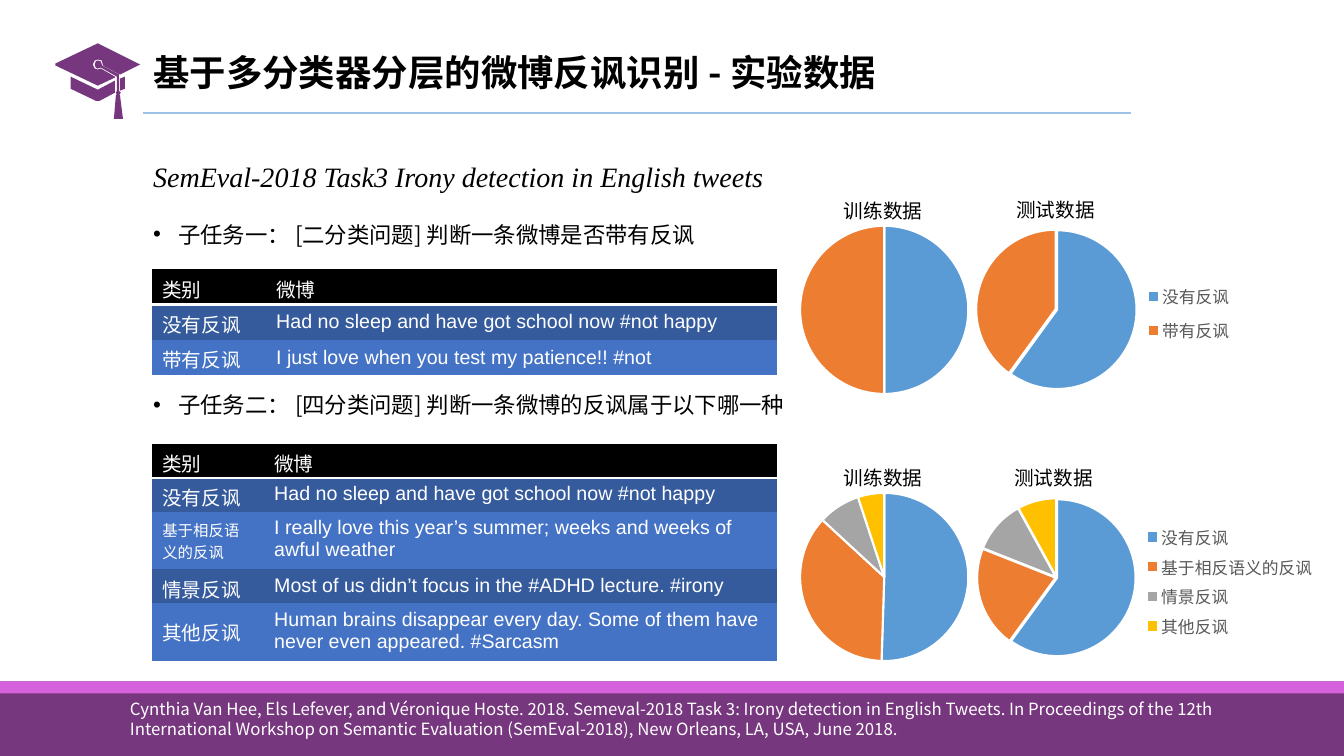
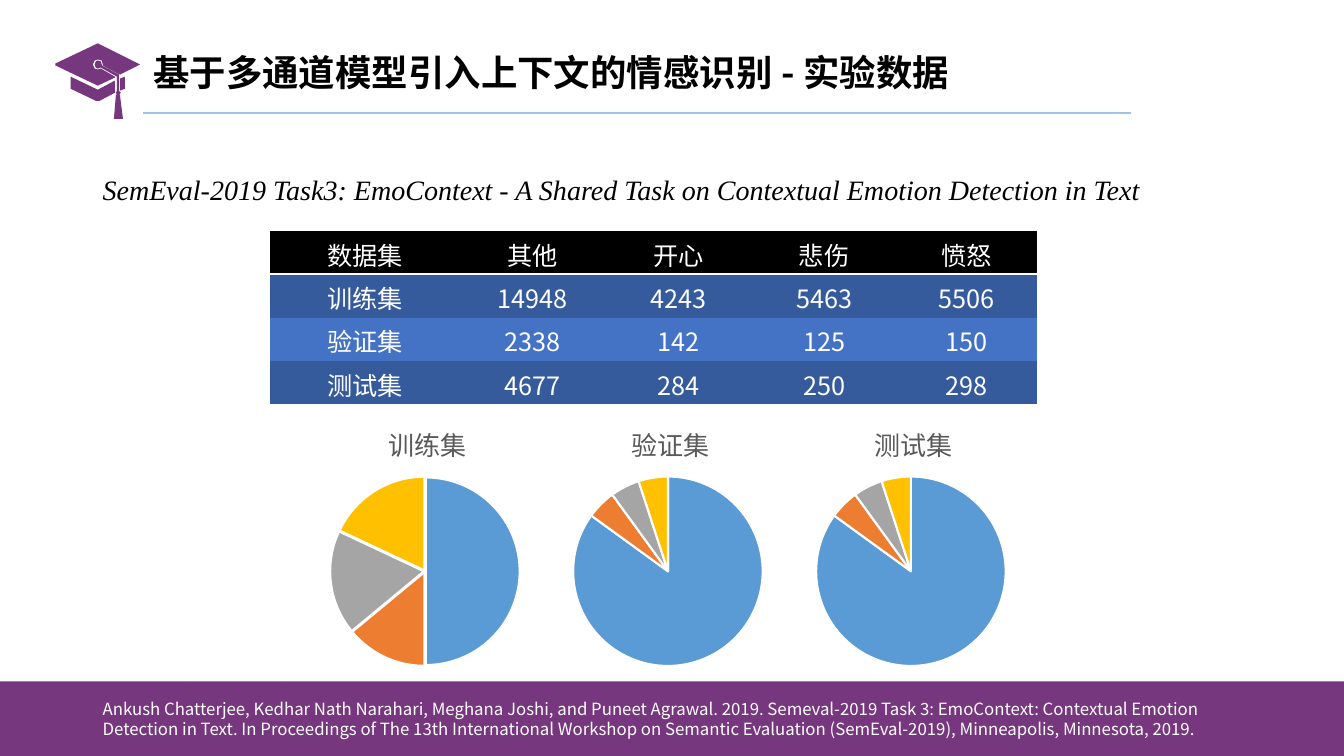
import lxml.etree
import pptx
import pptx.chart.data
import pptx.dml.color
import pptx.enum.chart
import pptx.enum.shapes
import pptx.enum.text
import pptx.oxml.ns
import pptx.util

Inches = pptx.util.Inches
Pt = pptx.util.Pt
qn = pptx.oxml.ns.qn
RGB = pptx.dml.color.RGBColor.from_string
MIDDLE = pptx.enum.text.MSO_ANCHOR.MIDDLE
TOP = pptx.enum.text.MSO_ANCHOR.TOP
LEFT = pptx.enum.text.PP_ALIGN.LEFT
CENTER = pptx.enum.text.PP_ALIGN.CENTER

COLORS = {
    "black": "000000", "white": "FFFFFF", "grey": "595959",
    "purple": "77377E", "pink": "D661DD", "rule": "9DC3E6",
    "dark_row": "365B9D", "light_row": "4472C4",
}
SLICES = ["5B9BD5", "ED7D31", "A5A5A5", "FFC000"]
CJK, SANS, SERIF = "Noto Sans CJK SC", "Arial", "Times New Roman"
NO_GRID_STYLE = "{2D5ABB26-0587-4C30-8999-92F81FD0307C}"


def add_run(paragraph, text, size, font=CJK, color="black", bold=False, italic=False):
    run = paragraph.add_run()
    run.text = text
    run.font.size = Pt(size)
    run.font.name = font
    run.font.bold = bold
    run.font.italic = italic
    run.font.color.rgb = RGB(COLORS[color])


def set_layout(part, values, inner=False):
    """Place a chart part by fractions of the chart area: x, y[, w, h]."""
    for old in part.findall(qn("c:layout")):
        part.remove(old)
    layout = lxml.etree.Element(qn("c:layout"))
    manual = lxml.etree.SubElement(layout, qn("c:manualLayout"))
    settings = [("layoutTarget", "inner")] if inner else []
    settings += [("xMode", "edge"), ("yMode", "edge")] + list(zip("xywh", values))
    for tag, value in settings:
        lxml.etree.SubElement(manual, qn("c:" + tag)).set("val", str(value))
    overlay = part.find(qn("c:overlay"))
    if overlay is None:
        part.insert(0, layout)
    else:
        overlay.addprevious(layout)


# Cap outline, in hundredths of an inch
CAP = [
    [(119, 90), (124, 88), (124, 76), (119, 78)],
    [(70, 76), (70, 88), (95, 100), (99, 100), (114, 92), (114, 80), (97, 89)],
    [(118, 75), (118, 74), (101, 65), (101, 64), (100, 61), (97, 60), (95, 61),
     (94, 64), (95, 67), (97, 68), (100, 67), (116, 76)],
    [(139, 64), (97, 43), (55, 63), (55, 65), (97, 85), (114, 77), (114, 76), (100, 68),
     (97, 69), (94, 68), (92, 64), (94, 60), (97, 59), (101, 60), (102, 64), (102, 65),
     (119, 74)],
    [(118, 75), (118, 90), (120, 92), (118, 94), (119, 94), (122, 118), (113, 118),
     (115, 94), (116, 94), (115, 92), (116, 90), (116, 76)],
]

# Slide content
PAGES = [
    {
        "title": "基于多分类器分层的微博反讽识别 - 实验数据",
        "heading": "SemEval-2018 Task3 Irony detection in English tweets",
        "heading_box": (1.42, 1.37, 7.49, 2.95),
        "bullets": [("子任务一： [二分类问题] 判断一条微博是否带有反讽", 10),
                    ("子任务二： [四分类问题] 判断一条微博的反讽属于以下哪一种", 93)],
        "citation": "Cynthia Van Hee, Els Lefever, and Véronique Hoste. 2018. Semeval-2018 Task 3: "
                    "Irony detection in English Tweets. In Proceedings of the 12th International "
                    "Workshop on Semantic Evaluation (SemEval-2018), New Orleans, LA, USA, June 2018.",
        "citation_box": (1.19, 6.88, 11.17, 0.5),
        "stripe": True,
    },
    {
        "title": "基于多通道模型引入上下文的情感识别 - 实验数据",
        "heading": "SemEval-2019 Task3: EmoContext - A Shared Task on Contextual Emotion "
                   "Detection in Text",
        "heading_box": (0.92, 1.5, 11.5, 0.7),
        "bullets": [],
        "citation": "Ankush Chatterjee, Kedhar Nath Narahari, Meghana Joshi, and Puneet Agrawal. 2019. "
                    "Semeval-2019 Task 3: EmoContext: Contextual Emotion Detection in Text. In "
                    "Proceedings of The 13th International Workshop on Semantic Evaluation "
                    "(SemEval-2019), Minneapolis, Minnesota, 2019.",
        "citation_box": (0.92, 6.88, 11.4, 0.5),
        "stripe": False,
    },
]

IRONY = ["没有反讽", "带有反讽"]
IRONY_KINDS = ["没有反讽", "基于相反语义的反讽", "情景反讽", "其他反讽"]
EMOTIONS = ["其他", "开心", "悲伤", "愤怒"]

# page, left, top, column widths, row height, size, font, alignment, text column anchor, rows
TABLES = [
    (0, 1.51, 2.67, [1.13, 5.07], 0.35, 14, SANS, LEFT, MIDDLE, [
        ["类别", "微博"],
        [IRONY[0], "Had no sleep and have got school now #not happy"],
        [IRONY[1], "I just love when you test my patience!! #not"]]),
    (0, 1.51, 4.4, [1.11, 5.09], 0.34, 14, SANS, LEFT, TOP, [
        ["类别", "微博"],
        [IRONY_KINDS[0], "Had no sleep and have got school now #not happy"],
        [IRONY_KINDS[1], "I really love this year’s summer; weeks and weeks of awful weather"],
        [IRONY_KINDS[2], "Most of us didn’t focus in the #ADHD lecture. #irony"],
        [IRONY_KINDS[3], "Human brains disappear every day. Some of them have never even "
                         "appeared. #Sarcasm"]]),
    (1, 2.68, 2.29, [1.88, 1.44, 1.46, 1.43, 1.4], 0.43, 18, CJK, CENTER, MIDDLE, [
        ["数据集"] + EMOTIONS,
        ["训练集", "14948", "4243", "5463", "5506"],
        ["验证集", "2338", "142", "125", "150"],
        ["测试集", "4677", "284", "250", "298"]]),
]

# page, box, categories, values, plot, title, legend, explosion
TRAIN_PLOT = (0.07, 0.07, 0.86, 0.86)
EMOTION_PLOT = (0.11, 0.28, 0.78, 0.67)
PIES = [
    (0, (9.46, 4.77, 3.7, 1.94), IRONY_KINDS, [60, 21, 11, 8],
     (0.06, 0.09, 0.43, 0.81), None, (0.5, 0.2, 0.48, 0.63), 1),
    (0, (7.8, 4.75, 1.94, 1.95), IRONY_KINDS, [50, 36, 8, 5], TRAIN_PLOT, None, None, 0),
    (0, (9.46, 2.11, 3.7, 1.94), IRONY, [60, 40],
     (0.06, 0.08, 0.43, 0.83), None, (0.5, 0.32, 0.26, 0.39), 1),
    (0, (7.8, 2.1, 1.94, 1.95), IRONY, [50, 50], TRAIN_PLOT, None, None, 0),
]
for index, (dataset, shares, explosion) in enumerate([
        ("训练集", [50, 14, 18, 18], 1),
        ("验证集", [85, 5, 5, 5], 0),
        ("测试集", [85, 5, 5, 5], 0)]):
    PIES.append((1, (3.01 + 2.41 * index, 3.94, 2.41, 2.81), EMOTIONS, shares,
                 EMOTION_PLOT, dataset, None, explosion))

PIE_LABELS = [("训练数据", 8.27, 4.57), ("测试数据", 9.96, 4.57),
              ("训练数据", 8.27, 1.92), ("测试数据", 9.98, 1.91)]

prs = pptx.Presentation()
prs.slide_width = Inches(13.33)
prs.slide_height = Inches(7.5)
slides = []

# Shared frame: title, cap, rule, bands, citation; then the heading and bullets
for page in PAGES:
    slide = prs.slides.add_slide(prs.slide_layouts[5])
    slides.append(slide)

    title = slide.shapes.title
    title.left, title.top, title.width, title.height = map(Inches, (1.42, 0.37, 9.69, 0.75))
    title.text_frame.auto_size = pptx.enum.text.MSO_AUTO_SIZE.NONE
    title.text_frame.vertical_anchor = MIDDLE
    title_line = title.text_frame.paragraphs[0]
    title_line.alignment = LEFT
    title_line.line_spacing = 0.9
    add_run(title_line, page["title"], 26, bold=True)

    outline = slide.shapes.build_freeform(*CAP[0][0], scale=Inches(0.01))
    outline.add_line_segments(CAP[0][1:])
    for contour in CAP[1:]:
        outline.move_to(*contour[0])
        outline.add_line_segments(contour[1:])
    cap = outline.convert_to_shape()

    bands = [(cap, "purple")]
    band_sizes = [(6.76, 0.74, "purple")]
    if page["stripe"]:
        band_sizes.append((6.76, 0.12, "pink"))
    for top, height, color in band_sizes:
        band = slide.shapes.add_shape(pptx.enum.shapes.MSO_SHAPE.RECTANGLE, 0, Inches(top),
                                      prs.slide_width, Inches(height))
        bands.append((band, color))
    for shape, color in bands:
        shape.shadow.inherit = False
        shape.fill.solid()
        shape.fill.fore_color.rgb = RGB(COLORS[color])
        shape.line.fill.background()

    rule = slide.shapes.add_connector(pptx.enum.shapes.MSO_CONNECTOR.STRAIGHT, Inches(1.42),
                                      Inches(1.12), Inches(11.22), Inches(1.12))
    rule.line.color.rgb = RGB(COLORS["rule"])
    rule.line.width = Pt(1.5)
    lxml.etree.SubElement(rule._element.spPr, qn("a:effectLst"))

    citation = slide.shapes.add_textbox(*map(Inches, page["citation_box"])).text_frame
    citation.word_wrap = True
    add_run(citation.paragraphs[0], page["citation"], 12, color="white")

    body = slide.shapes.add_textbox(*map(Inches, page["heading_box"])).text_frame
    body.word_wrap = True
    heading = body.paragraphs[0]
    heading.line_spacing = 1.5
    heading.space_before = Pt(10)
    add_run(heading, page["heading"], 20, SERIF, italic=True)
    for text, gap in page["bullets"]:
        bullet = body.add_paragraph()
        bullet.line_spacing = 1.5
        bullet.space_before = Pt(gap)
        properties = bullet._p.get_or_add_pPr()
        properties.set("marL", str(Inches(0.25)))
        properties.set("indent", str(-Inches(0.25)))
        lxml.etree.SubElement(properties, qn("a:buFont")).set("typeface", SANS)
        lxml.etree.SubElement(properties, qn("a:buChar")).set("char", "•")
        add_run(bullet, text, 16)

# Tables
for page, left, top, widths, row_height, size, font, align, text_anchor, rows in TABLES:
    frame = slides[page].shapes.add_table(len(rows), len(widths), Inches(left), Inches(top),
                                          Inches(sum(widths)), Inches(row_height * len(rows)))
    table = frame.table
    table.horz_banding = False
    table._tbl.tblPr.find(qn("a:tableStyleId")).text = NO_GRID_STYLE
    for column, width in zip(table.columns, widths):
        column.width = Inches(width)
    for r, row in enumerate(rows):
        table.rows[r].height = Inches(row_height)
        fill = "black" if r == 0 else ("light_row", "dark_row")[r % 2]
        for c, text in enumerate(row):
            cell = table.cell(r, c)
            cell.vertical_anchor = text_anchor if c else MIDDLE
            line = cell.text_frame.paragraphs[0]
            line.alignment = align
            add_run(line, text, 11 if text == IRONY_KINDS[1] else size, font, "white")
            if r == 0:
                border = lxml.etree.SubElement(cell._tc.get_or_add_tcPr(), qn("a:lnB"))
                border.set("w", str(Pt(2)))
                ink = lxml.etree.SubElement(border, qn("a:solidFill"))
                lxml.etree.SubElement(ink, qn("a:srgbClr")).set("val", COLORS["white"])
            cell.fill.solid()
            cell.fill.fore_color.rgb = RGB(COLORS[fill])

# Pie charts
for page, box, categories, values, plot, heading, legend_box, explosion in PIES:
    data = pptx.chart.data.CategoryChartData()
    data.categories = categories
    data.add_series("Series 1", values)
    chart = slides[page].shapes.add_chart(pptx.enum.chart.XL_CHART_TYPE.PIE,
                                          *map(Inches, box), data).chart
    chart.font.size = Pt(10)
    chart.font.name = CJK
    chart.font.color.rgb = RGB(COLORS["black"])
    pie = chart.plots[0]
    pie.vary_by_categories = True
    series = pie.series[0]
    for i in range(len(values)):
        piece = series.points[i].format
        piece.fill.solid()
        piece.fill.fore_color.rgb = RGB(SLICES[i])
        piece.line.color.rgb = RGB(COLORS["white"])
        piece.line.width = Pt(1.5)
    if explosion:
        pull = lxml.etree.Element(qn("c:explosion"))
        pull.set("val", str(explosion))
        series._element.find(qn("c:dPt")).addprevious(pull)
    set_layout(chart._chartSpace.chart.plotArea, plot, inner=True)
    chart.has_title = heading is not None
    if heading:
        add_run(chart.chart_title.text_frame.paragraphs[0], heading, 18.6, color="grey")
        set_layout(chart.chart_title._element, (0.33, 0.07))
    chart.has_legend = legend_box is not None
    if legend_box:
        legend = chart.legend
        legend.position = pptx.enum.chart.XL_LEGEND_POSITION.RIGHT
        legend.include_in_layout = False
        legend.font.size = Pt(12)
        legend.font.name = CJK
        legend.font.color.rgb = RGB(COLORS["grey"])
        set_layout(legend._element, legend_box)

# Pie labels on the first slide
for text, left, top in PIE_LABELS:
    label = slides[0].shapes.add_textbox(Inches(left), Inches(top), Inches(0.99), Inches(0.34))
    label.text_frame.word_wrap = False
    add_run(label.text_frame.paragraphs[0], text, 14)

# East Asian font beside every Latin one
for slide in slides:
    roots = [slide._element]
    roots += [shape.chart._chartSpace for shape in slide.shapes if shape.has_chart]
    for root in roots:
        for latin in list(root.iter(qn("a:latin"))):
            east_asian = lxml.etree.Element(qn("a:ea"))
            east_asian.set("typeface", CJK)
            latin.addnext(east_asian)

prs.save("out.pptx")
